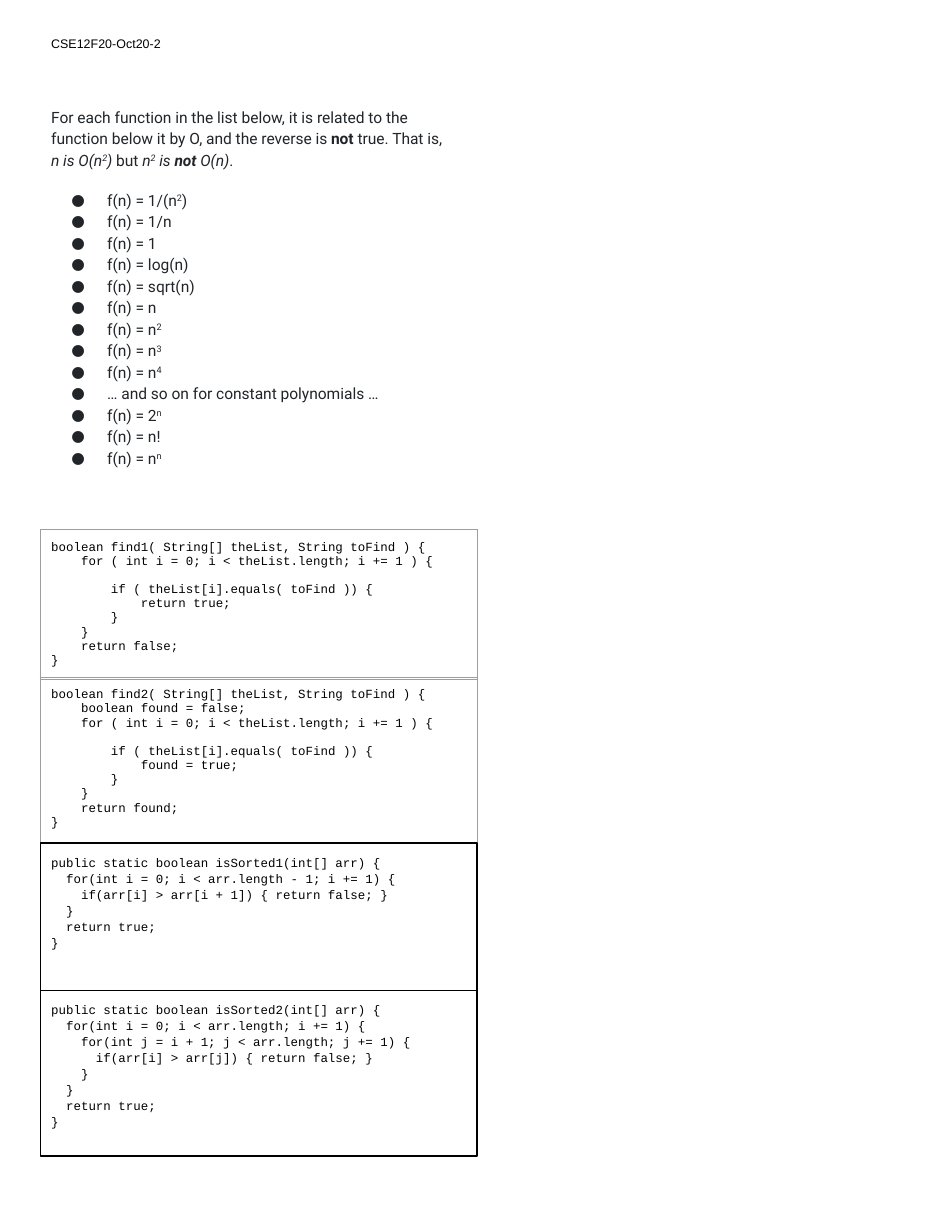
from lxml.etree import SubElement
from pptx import Presentation
from pptx.dml.color import RGBColor
from pptx.enum.shapes import MSO_SHAPE as Shape
from pptx.enum.text import MSO_ANCHOR as Anchor, MSO_AUTO_SIZE as AutoSize, PP_ALIGN as Align
from pptx.oxml.ns import qn
from pptx.util import Cm, Pt

LEFT, WIDTH, INSET = 0.91, 9.91, 0.25
BLACK, INK, GREY = "000000", "212529", "9E9E9E"
HEADER_FONT = {"name": "Arial", "size": Pt(8)}
BODY_FONT = {"name": "Roboto", "size": Pt(10)}
CODE_FONT = {"name": "Courier New", "size": Pt(8)}
MARGINS = {f"margin_{side}": Cm(INSET) for side in ("left", "top", "right", "bottom")}
FRAME = {**MARGINS, "word_wrap": True, "auto_size": AutoSize.NONE,
         "vertical_anchor": Anchor.TOP}

# Each run is its text and its flags: b bold, i italic, ^ superscript
INTRO = [
    ("For each function in the list below, it is related to the function "
     "below it by O, and the reverse is ", ""),
    ("not", "b"), (" true. That is, ", ""),
    ("n is O(n", "i"), ("2", "i^"), (") ", "i"), ("but ", ""),
    ("n", "i"), ("2", "i^"), (" is ", "i"), ("not", "bi"), (" O(n)", "i"), (".", ""),
]
# The part between two bars is superscript
FUNCTIONS = [
    "f(n) = 1/(n|2|)", "f(n) = 1/n", "f(n) = 1", "f(n) = log(n)",
    "f(n) = sqrt(n)", "f(n) = n", "f(n) = n|2|", "f(n) = n|3|", "f(n) = n|4|",
    "… and so on for constant polynomials …",
    "f(n) = 2|n|", "f(n) = n!", "f(n) = n|n|",
]
FIND1 = """boolean find1( String[] theList, String toFind ) {
    for ( int i = 0; i < theList.length; i += 1 ) {

        if ( theList[i].equals( toFind )) {
            return true;
        }
    }
    return false;
}"""
FIND2 = """boolean find2( String[] theList, String toFind ) {
    boolean found = false;
    for ( int i = 0; i < theList.length; i += 1 ) {

        if ( theList[i].equals( toFind )) {
            found = true;
        }
    }
    return found;
}"""
SORTED1 = """public static boolean isSorted1(int[] arr) {
  for(int i = 0; i < arr.length - 1; i += 1) {
    if(arr[i] > arr[i + 1]) { return false; }
  }
  return true;
}"""
SORTED2 = """public static boolean isSorted2(int[] arr) {
  for(int i = 0; i < arr.length; i += 1) {
    for(int j = i + 1; j < arr.length; j += 1) {
      if(arr[i] > arr[j]) { return false; }
    }
  }
  return true;
}"""


def rgb(value):
    return RGBColor.from_string(value)


def apply(obj, values):
    for name, value in values.items():
        setattr(obj, name, value)


def place(sp, left, top, width, height):
    apply(sp, {"left": Cm(left), "top": Cm(top), "width": Cm(width), "height": Cm(height)})


def paragraphs(tf, count):
    return [tf.paragraphs[0]] + [tf.add_paragraph() for _ in range(count - 1)]


def add_run(p, text, font, color, flags=""):
    r = p.add_run()
    r.text = text
    apply(r.font, {**font, "bold": "b" in flags, "italic": "i" in flags})
    r.font.color.rgb = rgb(color)
    if "^" in flags:
        r._r.get_or_add_rPr().set("baseline", "30000")


def set_bullet(p, char=None):
    pPr = p._p.get_or_add_pPr()
    pPr.set("marL", str(Cm(1.27) if char else 0))
    pPr.set("indent", str(Cm(-0.81) if char else 0))
    if not char:
        SubElement(pPr, qn("a:buNone"))
        return
    SubElement(SubElement(pPr, qn("a:buClr")), qn("a:srgbClr")).set("val", INK)
    SubElement(pPr, qn("a:buFont")).set("typeface", BODY_FONT["name"])
    SubElement(pPr, qn("a:buChar")).set("char", char)


def fill_header(sp, text):
    place(sp, LEFT, 0.56, 5.18, 0.84)
    apply(sp.text_frame, FRAME)
    p = sp.text_frame.paragraphs[0]
    p.alignment = Align.LEFT
    add_run(p, text, HEADER_FONT, BLACK)


def fill_functions(sp):
    place(sp, LEFT, 2.13, 9.5, 9.17)
    apply(sp.text_frame, FRAME)
    intro, *items = paragraphs(sp.text_frame, len(FUNCTIONS) + 1)
    set_bullet(intro)
    apply(intro, {"line_spacing": 1.15, "space_before": Pt(0)})
    for text, flags in INTRO:
        add_run(intro, text, BODY_FONT, INK, flags)
    for i, (p, item) in enumerate(zip(items, FUNCTIONS)):
        set_bullet(p, "●")
        apply(p, {"line_spacing": 1.15, "space_before": Pt(0 if i else 12)})
        for j, part in enumerate(item.split("|")):
            if part:
                add_run(p, part, BODY_FONT, INK, "^" if j % 2 else "")


def write_code(tf, code, spacing):
    """One paragraph a line; an empty line becomes space before the next."""
    lines = code.split("\n")
    ps = iter(paragraphs(tf, sum(map(bool, lines))))
    gap = 0
    for line in lines:
        if not line:
            gap = 9
            continue
        p = next(ps)
        apply(p, {"alignment": Align.LEFT, "line_spacing": spacing, "space_before": Pt(gap)})
        add_run(p, line, CODE_FONT, BLACK)
        gap = 0


def add_code_box(slide, top, height, code):
    sp = slide.shapes.add_shape(Shape.RECTANGLE, Cm(LEFT), Cm(top), Cm(WIDTH), Cm(height))
    sp.shadow.inherit = False
    sp.fill.background()
    sp.line.color.rgb = rgb(BLACK)
    sp.line.width = Pt(0.75)
    apply(sp.text_frame, FRAME)
    write_code(sp.text_frame, code, 1.07)


def add_code_table(slide, top, height, code):
    table = slide.shapes.add_table(
        1, 1, Cm(LEFT), Cm(top), Cm(WIDTH), Cm(height)).table
    apply(table, {"first_row": False, "horz_banding": False})
    cell = table.cell(0, 0)
    apply(cell, {**MARGINS, "vertical_anchor": Anchor.TOP})
    tcPr = cell._tc.get_or_add_tcPr()
    for side in ("lnL", "lnR", "lnT", "lnB"):
        ln = SubElement(tcPr, qn(f"a:{side}"), w=str(Pt(0.75)))
        SubElement(SubElement(ln, qn("a:solidFill")), qn("a:srgbClr")).set("val", GREY)
    cell.fill.background()
    write_code(cell.text_frame, code, 1.0)


def main():
    prs = Presentation()
    apply(prs, {"slide_width": Cm(21.59), "slide_height": Cm(27.94)})
    slide = prs.slides.add_slide(prs.slide_layouts[1])

    # Header and list of functions
    fill_header(slide.shapes.title, "CSE12F20-Oct20-2")
    fill_functions(slide.placeholders[1])

    # Code listings, stacked without gaps
    top = 12.01
    for add, height, code in [
        (add_code_table, 3.35, FIND1), (add_code_table, 3.76, FIND2),
        (add_code_box, 3.34, SORTED1), (add_code_box, 3.76, SORTED2),
    ]:
        add(slide, top, height, code)
        top += height

    prs.save("out.pptx")


if __name__ == "__main__":
    main()
